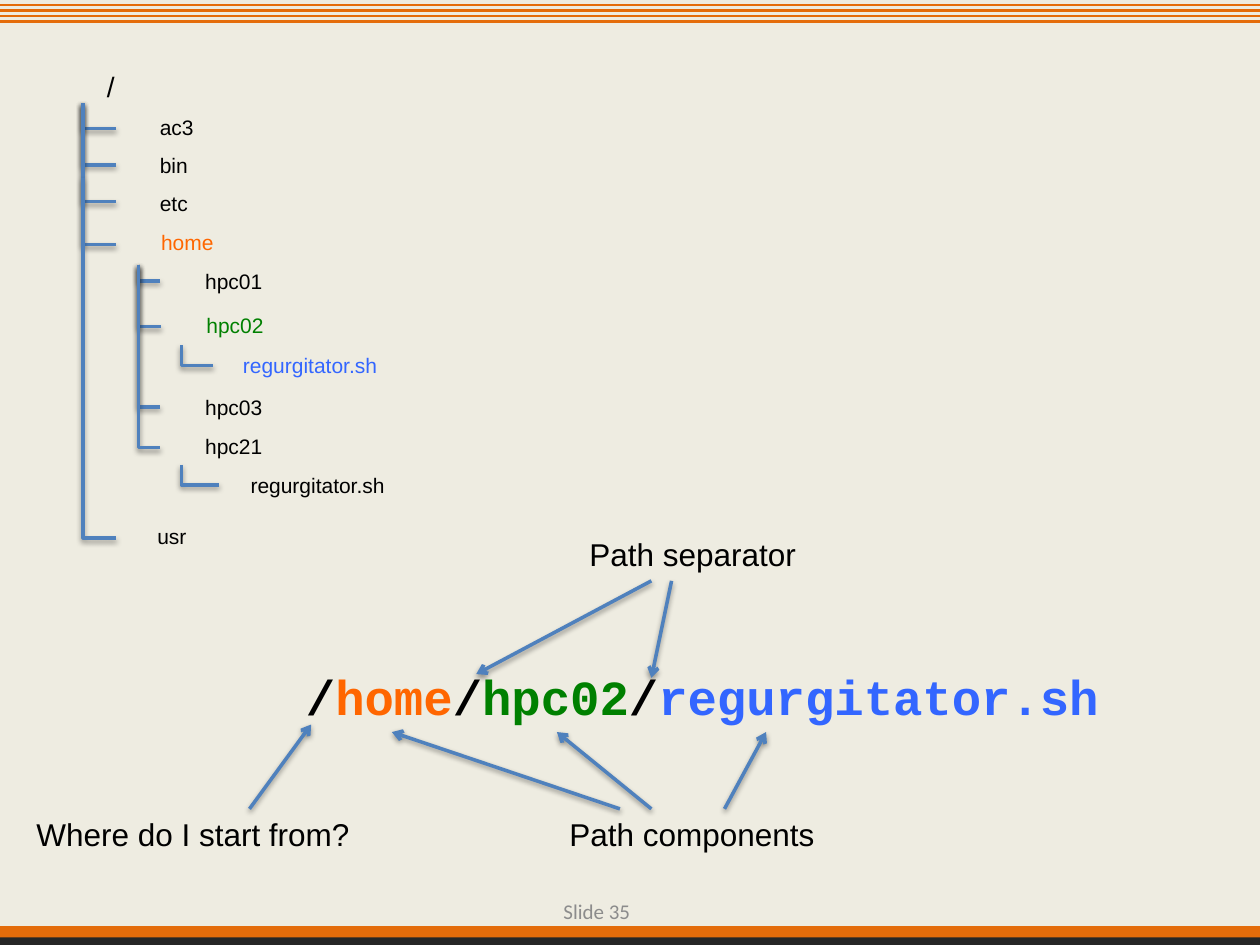
from lxml.etree import SubElement
from pptx import Presentation
from pptx.dml.color import RGBColor
from pptx.enum.shapes import MSO_CONNECTOR, MSO_SHAPE
from pptx.enum.text import MSO_ANCHOR, PP_ALIGN
from pptx.oxml.ns import qn
from pptx.util import Inches, Pt

COLS, ROWS = 100, 75
WIDE, HIGH = Inches(10), Inches(7.5)
HUES = {
    "back": "EEECE1", "band": "E46C0A", "dark": "262626", "line": "4F81BD",
    "ink": "000000", "home": "FF6600", "user": "008000", "file": "3366FF",
    "foot": "8C8C8C",
}


def hue(name):
    return RGBColor.from_string(HUES[name])


def place(box, x, y):
    return round((box[0] + x) * WIDE / COLS), round((box[1] + y) * HIGH / ROWS)


def size(w, h):
    return place((0, 0), w, h)


def label(slide, box, x, y, w, h, runs, points, font="Arial", bold=False):
    shape = slide.shapes.add_textbox(*place(box, x, y), *size(w, h))
    frame = shape.text_frame
    frame.word_wrap = False
    for text, tint in runs:
        run = frame.paragraphs[0].add_run()
        run.text = text
        run.font.name = font
        run.font.size = Pt(points)
        run.font.bold = bold
        run.font.color.rgb = hue(tint)
    return frame


def stroke(link, tint, width, glow):
    link.line.color.rgb = hue(tint)
    link.line.width = Pt(width)
    list_ = SubElement(link._element.spPr, qn("a:effectLst"))
    if glow:
        cast = SubElement(list_, qn("a:outerShdw"), blurRad=str(Pt(3.1)),
                          dist=str(Pt(1.6)), dir="5400000", rotWithShape="0")
        tone = SubElement(cast, qn("a:srgbClr"), val=HUES["ink"])
        SubElement(tone, qn("a:alpha"), val="38000")


def straight(slide, box, start, end, tint="line", width=2, glow=True):
    link = slide.shapes.add_connector(
        MSO_CONNECTOR.STRAIGHT, *place(box, *start), *place(box, *end))
    stroke(link, tint, width, glow)
    return link


def arrow(slide, box, start, end):
    link = straight(slide, box, start, end)
    SubElement(link.line._get_or_add_ln(), qn("a:tailEnd"), type="arrow")


def elbow(slide, box, start, end):
    (x1, y1), (x2, y2) = start, end
    w, h = x2 - x1, y2 - y1
    left, top = (x1 + x2 - h) / 2, (y1 + y2 - w) / 2
    link = slide.shapes.add_connector(
        MSO_CONNECTOR.ELBOW, *place(box, left, top),
        *place(box, left + h, top + w))
    props = link._element.spPr
    props.find(qn("a:prstGeom")).set("prst", "bentConnector2")
    form = props.find(qn("a:xfrm"))
    form.set("rot", "16200000")
    form.set("flipH", "1")
    stroke(link, "line", 2, True)


def bands(slide, box):
    for step in range(4):
        y = 0.4 + 0.43 * step
        straight(slide, box, (0, y), (COLS, y), "band", 1.5, False)
    for y, h, tint in ((73.5, 1.5, "band"), (74.4, 0.6, "dark")):
        bar = slide.shapes.add_shape(
            MSO_SHAPE.RECTANGLE, *place(box, 0, y), *size(COLS, h))
        bar.shadow.inherit = False
        bar.fill.solid()
        bar.fill.fore_color.rgb = hue(tint)
        bar.line.fill.background()


def tree(slide, box):
    trunks = (
        ((0, 3.2), ((2.6, 5.2), (2.6, 8.1), (2.6, 11), (2.6, 14.4))),
        ((0, 9.1), ((2.6, 37.7),)),
        ((4.4, 16), ((6.1, 17.3), (6.2, 20.9), (6.1, 27.3), (6.1, 30.5))),
        ((7.8, 22.4), ((10.3, 24),)),
        ((7.8, 31.9), ((10.8, 33.5),)),
    )
    for start, ends in trunks:
        for end in ends:
            elbow(slide, box, start, end)
    label(slide, box, 0.9, 0, 2.6, 3.7, [("/", "ink")], 16)
    names = (
        ("ac3", 5.1, 3.6, 4.7, "ink"),
        ("bin", 5.1, 6.6, 4.3, "ink"),
        ("etc", 5.1, 9.6, 4.3, "ink"),
        ("home", 5.2, 12.7, 6.2, "home"),
        ("hpc01", 8.7, 15.8, 6.6, "ink"),
        ("hpc02", 8.8, 19.3, 6.6, "user"),
        ("regurgitator.sh", 11.7, 22.5, 12.8, "file"),
        ("hpc03", 8.7, 25.8, 6.6, "ink"),
        ("hpc21", 8.7, 28.9, 6.6, "ink"),
        ("regurgitator.sh", 12.3, 32, 12.8, "ink"),
        ("usr", 4.9, 36.1, 4.4, "ink"),
    )
    for text, x, y, w, tint in names:
        label(slide, box, x, y, w, 3, [(text, tint)], 12)


def route(slide, box):
    parts = [("/", "ink"), ("home", "home"), ("/", "ink"),
             ("hpc02", "user"), ("/", "ink"), ("regurgitator.sh", "file")]
    label(slide, box, 21.4, 10.4, 65.6, 5.7, parts, 28, "Courier New", True)
    notes = (
        ("Where do I start from?", 0, 22.2, 27.1),
        ("Path components", 42.3, 22.2, 21.7),
        ("Path separator", 43.9, 0, 18.6),
    )
    for text, x, y, w in notes:
        label(slide, box, x, y, w, 4, [(text, "ink")], 18)
    links = (
        ((17.9, 22.2), (22.8, 15.5)),
        ((47.3, 22.2), (29.2, 16.1)),
        ((49.8, 22.2), (42.3, 16.1)),
        ((55.6, 22.2), (58.9, 16.1)),
        ((49.8, 4.1), (35.9, 11.5)),
        ((51.4, 4.1), (49.8, 11.8)),
    )
    for start, end in links:
        arrow(slide, box, start, end)


def footer(slide, box):
    frame = label(slide, box, 0, 0, 9.9, 3, [("Slide 35", "foot")], 12, "Calibri")
    frame.word_wrap = True
    frame.vertical_anchor = MSO_ANCHOR.MIDDLE
    frame.paragraphs[0].alignment = PP_ALIGN.RIGHT


def main():
    deck = Presentation()
    deck.slide_width, deck.slide_height = WIDE, HIGH
    slide = deck.slides.add_slide(deck.slide_layouts[6])
    slide.background.fill.solid()
    slide.background.fill.fore_color.rgb = hue("back")
    bands(slide, (0, 0))
    tree(slide, (6.6, 5))
    route(slide, (1.9, 42))
    footer(slide, (41.1, 70.8))
    deck.save("out.pptx")


if __name__ == "__main__":
    main()
